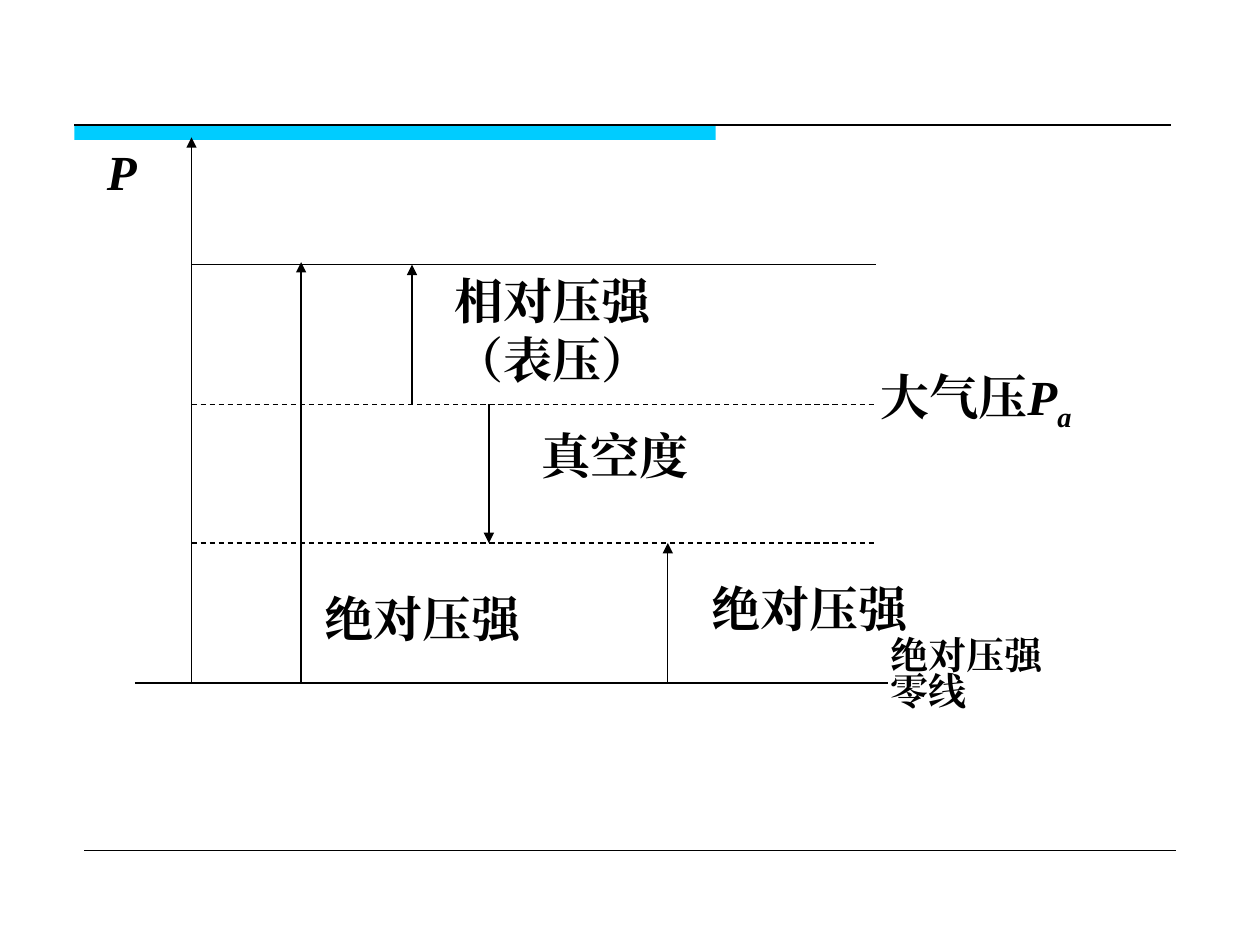
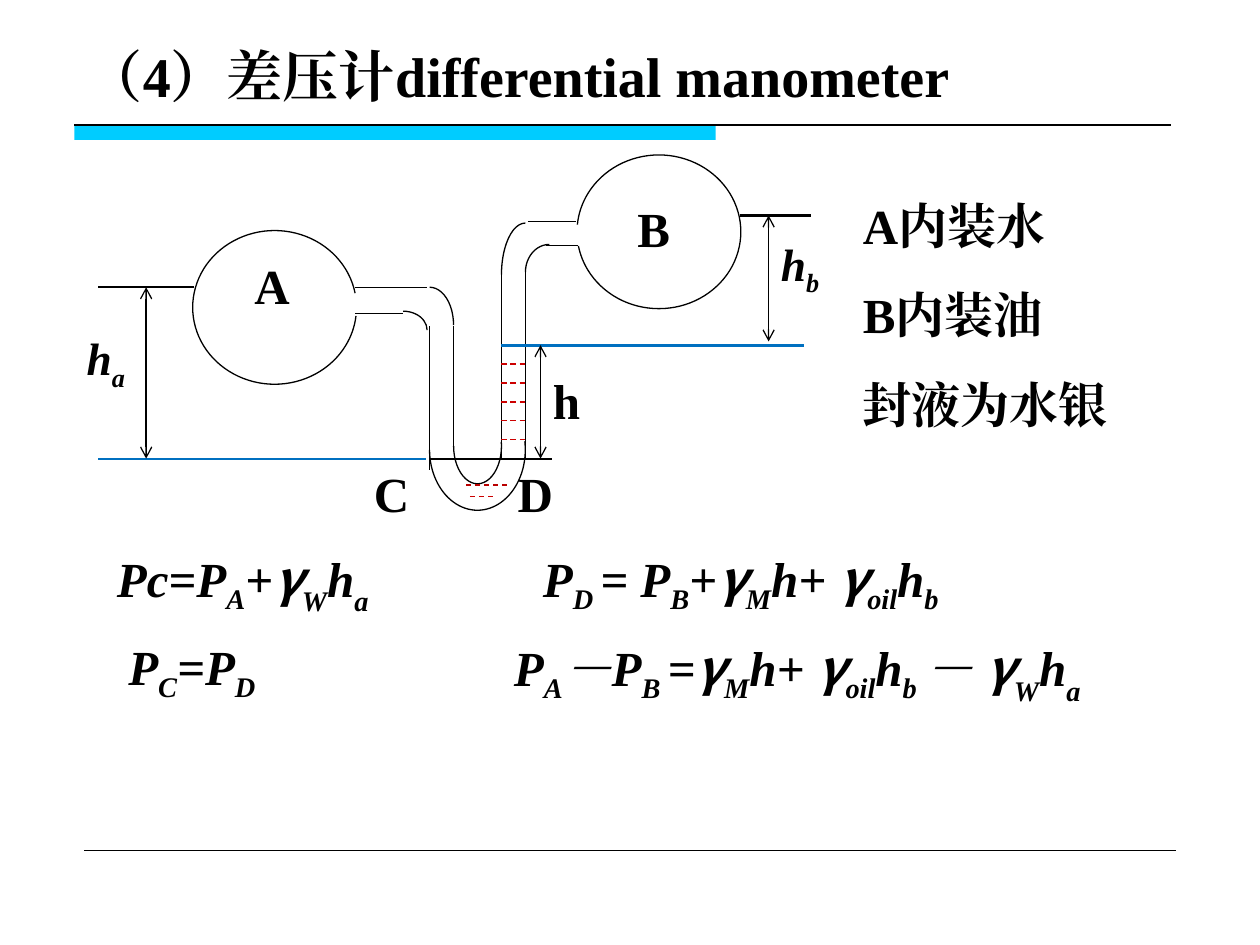
from pptx import Presentation
from pptx.dml.color import RGBColor
from pptx.enum.dml import MSO_LINE
from pptx.enum.shapes import MSO_CONNECTOR, MSO_SHAPE
from pptx.oxml.ns import qn
from pptx.util import Inches, Pt
from lxml import etree

STRAIGHT = MSO_CONNECTOR.STRAIGHT
ARC, RECTANGLE = MSO_SHAPE.ARC, MSO_SHAPE.RECTANGLE
DASH = MSO_LINE.DASH
BLACK = RGBColor(0x00, 0x00, 0x00)
CYAN = RGBColor(0x00, 0xCC, 0xFF)
BLUE = RGBColor(0x00, 0x70, 0xC0)
RED = RGBColor(0xCC, 0x00, 0x00)
DARK_RED = RGBColor(0xB9, 0x00, 0x00)
SERIF, GREEK = "Times New Roman", "Noto Sans CJK SC"
BODY_SIZE, TITLE_SIZE, HEIGHT_SIZE, ZERO_SIZE = 28, 32, 25.9, 21.7
SUBSCRIPTS = {"_": "-25000", "~": "-30000"}

# ---- Slide 1: pressure scale (inches) ----
AXIS_X, LEVEL_END = 1.52, 6.95
HIGH, ATMOSPHERE, LOW, ZERO = 2.1, 3.21, 4.31, 5.42
# x, from level, to level
PRESSURE_ARROWS = [
    (AXIS_X, ZERO, 1.09),
    (2.39, ZERO, HIGH - 0.02),
    (3.27, ATMOSPHERE, HIGH),
    (3.88, ATMOSPHERE, LOW),
    (5.3, ZERO, LOW),
]
# "|" parts the runs, "_" and "~" lower a run, "*" slants it
PRESSURE_LABELS = [
    ((3.51, 2.1, 2.33, 1.11), ["相对压强", "（表压）"], {}),
    ((4.2, 3.33, 1.66, 0.66), ["真空度"], {}),
    ((6.89, 2.86, 2.28, 0.89), ["大气压|*P|*_a"], {}),
    ((0.75, 1.07, 0.63, 0.71), ["*P"], {}),
    ((6.97, 5.03, 2.28, 0.89), ["绝对压强", "零线"],
     {"size": ZERO_SIZE, "spacing": 0.8}),
    ((5.55, 4.54, 2.14, 0.71), ["绝对压强"], {}),
    ((2.48, 4.62, 2, 1.11), ["绝对压强"], {}),
]

# ---- Slide 2: differential manometer (inches) ----
TITLE = "（4）差压计differential manometer"
# Walls of the left and right tube, and the levels of the liquids
LEFT_OUTER, LEFT_INNER, RIGHT_INNER, RIGHT_OUTER = 3.41, 3.6, 3.98, 4.17
TUBE_MIDDLE, BORE = 3.79, 0.19
LEVEL_A, LEVEL_B, OIL_BOTTOM, SEAL = 2.28, 1.71, 2.74, 3.64
# centre x, centre y, radius x, radius y, start and end degrees (clockwise)
PIPE_ARCS = [
    (2.18, 2.44, 0.65, 0.61, 6, 350),                 # vessel A
    (5.23, 1.84, 0.65, 0.61, 185, 170),               # vessel B
    (TUBE_MIDDLE, 3.57, 2 * BORE, 0.48, 350, 180),    # U bend
    (TUBE_MIDDLE, 3.54, BORE, 0.3, 350, 180),
    (LEFT_OUTER, 2.58, BORE, 0.3, 270, 0),            # elbow from A
    (3.2, 2.62, BORE, 0.15, 270, 0),
    (RIGHT_OUTER, 2.18, BORE, 0.41, 180, 270),        # elbow from B
    (4.36, 2.16, BORE, 0.22, 180, 270),
]
PIPE_WALLS = [
    (RIGHT_INNER, SEAL, RIGHT_INNER, 2.14),
    (RIGHT_OUTER, SEAL, RIGHT_OUTER, 2.14),
    (LEFT_OUTER, 3.73, LEFT_OUTER, 2.59),
    (LEFT_INNER, 3.55, LEFT_INNER, 2.59),
    (2.82, LEVEL_A, 3.39, LEVEL_A),
    (2.82, 2.49, 3.2, 2.49),
    (4.19, 1.76, 4.57, 1.76),
    (4.33, 1.95, 4.59, 1.95),
]
LEVEL_LINES = [
    (LEFT_OUTER, 4.38, SEAL, BLACK, 1.25),
    (0.78, 1.54, LEVEL_A, BLACK, 1.25),
    (0.78, 3.38, SEAL, BLUE, 1.25),
    (5.87, 6.44, LEVEL_B, BLACK, 1.25),
    (RIGHT_INNER, 6.38, OIL_BOTTOM, BLUE, 1.5),
]
HEIGHT_ARROWS = [(1.16, LEVEL_A, SEAL), (4.29, OIL_BOTTOM, SEAL),
                 (6.1, LEVEL_B, 2.71)]
MERCURY_TOP, MERCURY_STEP, MERCURY_ROWS = 2.89, 0.15, 5
MERCURY_BEND = [(3.7, 4.04, 3.85, DARK_RED), (3.73, 3.92, 3.94, RED)]
HEIGHT_STYLE = {"size": HEIGHT_SIZE, "spacing": 0.9}
MANOMETER_LABELS = [
    ((0.59, 0.28, 8.75, 0.7), [TITLE], {"size": TITLE_SIZE}),
    ((1.92, 1.98, 0.76, 0.75), ["A"], {}),
    ((4.96, 1.53, 0.57, 0.6), ["B"], {}),
    ((2.87, 3.63, 0.76, 0.6), ["C"], {}),
    ((4.01, 3.63, 0.76, 0.6), ["D"], {}),
    ((4.29, 2.89, 0.76, 0.6), ["h"], {}),
    ((0.59, 2.58, 0.57, 0.6), ["*h|*_a"], HEIGHT_STYLE),
    ((6.1, 1.83, 0.57, 0.6), ["*h|*_b"], HEIGHT_STYLE),
    ((6.75, 1.5, 2.82, 2.52), ["A内装水", "B内装油", "封液为水银"],
     {"before": 17.5}),
]
FORMULAS = [
    ((0.83, 4.3, 2.83, 0.65), "Pc=P|_A|+|γ|~W|h|~a"),
    ((4.21, 4.3, 4.08, 0.63), "P|_D |= P|_B|+|γ|_M|h+ |γ|_oil|h|_b"),
    ((0.92, 5, 2.25, 0.63), "P|_C|=P|_D"),
    ((3.98, 5.01, 6.02, 0.65),
     "P|_A|－P|_B |=|γ|_M|h+ |γ|_oil|h|_b |－ |γ|~W|h|~a"),
]


# ---- Drawing helpers ----
def add_line(page, start, end, color=BLACK, width=0.75, dashed=False,
             head=None, tail=None):
    line = page.shapes.add_connector(STRAIGHT, *map(Inches, start + end))
    line.line.color.rgb = color
    line.line.width = Pt(width)
    if dashed:
        line.line.dash_style = DASH
    properties = line._element.spPr
    outline = properties.find(qn("a:ln"))
    for tag, kind in (("a:headEnd", head), ("a:tailEnd", tail)):
        if kind:
            etree.SubElement(outline, qn(tag), type=kind)
    etree.SubElement(properties, qn("a:effectLst"))


def add_arc(page, center_x, center_y, radius_x, radius_y, start, end):
    arc = page.shapes.add_shape(
        ARC, Inches(center_x - radius_x), Inches(center_y - radius_y),
        Inches(2 * radius_x), Inches(2 * radius_y))
    # Angles are stored in 60000ths of a degree, adjustments in 100000ths
    arc.adjustments[0], arc.adjustments[1] = start * 0.6, end * 0.6
    arc.shadow.inherit = False
    arc.fill.background()
    arc.line.color.rgb = BLACK
    arc.line.width = Pt(0.75)


def add_span(para, text, size, italic):
    italic = italic or text.startswith("*")
    text = text.lstrip("*")
    baseline = SUBSCRIPTS.get(text[0])
    span = para.add_run()
    span.text = text[1:] if baseline else text
    font = span.font
    font.size, font.bold, font.italic = Pt(size), True, italic
    font.color.rgb = BLACK
    font.name = GREEK if text == "γ" else SERIF
    properties = span._r.get_or_add_rPr()
    etree.SubElement(properties, qn("a:ea"), typeface=font.name)
    if baseline:
        properties.set("baseline", baseline)


def add_label(page, place, lines, size=BODY_SIZE, spacing=None, before=0,
              italic=False):
    box = page.shapes.add_textbox(*map(Inches, place))
    frame = box.text_frame
    frame.word_wrap = True
    for index, line in enumerate(lines):
        para = frame.add_paragraph() if index else frame.paragraphs[0]
        if spacing:
            para.line_spacing = spacing
        if index and before:
            para.space_before = Pt(before)
        for text in line.split("|"):
            add_span(para, text, size, italic)


def add_page(deck):
    """Blank page with the shared header band and footer rule."""
    page = deck.slides.add_slide(deck.slide_layouts[6])
    band = page.shapes.add_shape(RECTANGLE, Inches(0.59), Inches(0.99),
                                 Inches(5.09), Inches(0.12))
    band.shadow.inherit = False
    band.fill.solid()
    band.fill.fore_color.rgb = CYAN
    band.line.fill.background()
    add_line(page, (0.59, 0.99), (9.29, 0.99), width=1)
    add_line(page, (0.67, 6.75), (9.33, 6.75), width=0.25)
    return page


# ---- Slides ----
def build_pressure_scale(deck):
    page = add_page(deck)
    for level, dashed in ((HIGH, False), (ATMOSPHERE, True), (LOW, True)):
        add_line(page, (AXIS_X, level), (LEVEL_END, level), dashed=dashed)
    add_line(page, (1.07, ZERO), (7.05, ZERO))
    for x, start, end in PRESSURE_ARROWS:
        add_line(page, (x, start), (x, end), tail="triangle")
    for place, lines, style in PRESSURE_LABELS:
        add_label(page, place, lines, **style)


def build_manometer(deck):
    page = add_page(deck)
    for arc in PIPE_ARCS:
        add_arc(page, *arc)
    for wall in PIPE_WALLS:
        add_line(page, wall[:2], wall[2:])
    # Mercury dashes in the right tube and in the bend
    tube_rows = [(RIGHT_INNER, RIGHT_OUTER, MERCURY_TOP + row * MERCURY_STEP, RED)
                 for row in range(MERCURY_ROWS)]
    for left, right, y, color in tube_rows + MERCURY_BEND:
        add_line(page, (left, y), (right, y), color, dashed=True)
    for left, right, y, color, width in LEVEL_LINES:
        add_line(page, (left, y), (right, y), color, width)
    for x, top, bottom in HEIGHT_ARROWS:
        add_line(page, (x, top), (x, bottom), head="arrow", tail="arrow")
    for place, lines, style in MANOMETER_LABELS:
        add_label(page, place, lines, **style)
    for place, formula in FORMULAS:
        add_label(page, place, [formula], italic=True)


def main():
    deck = Presentation()
    deck.slide_width, deck.slide_height = Inches(10), Inches(7.5)
    build_pressure_scale(deck)
    build_manometer(deck)
    deck.save("out.pptx")


if __name__ == "__main__":
    main()
